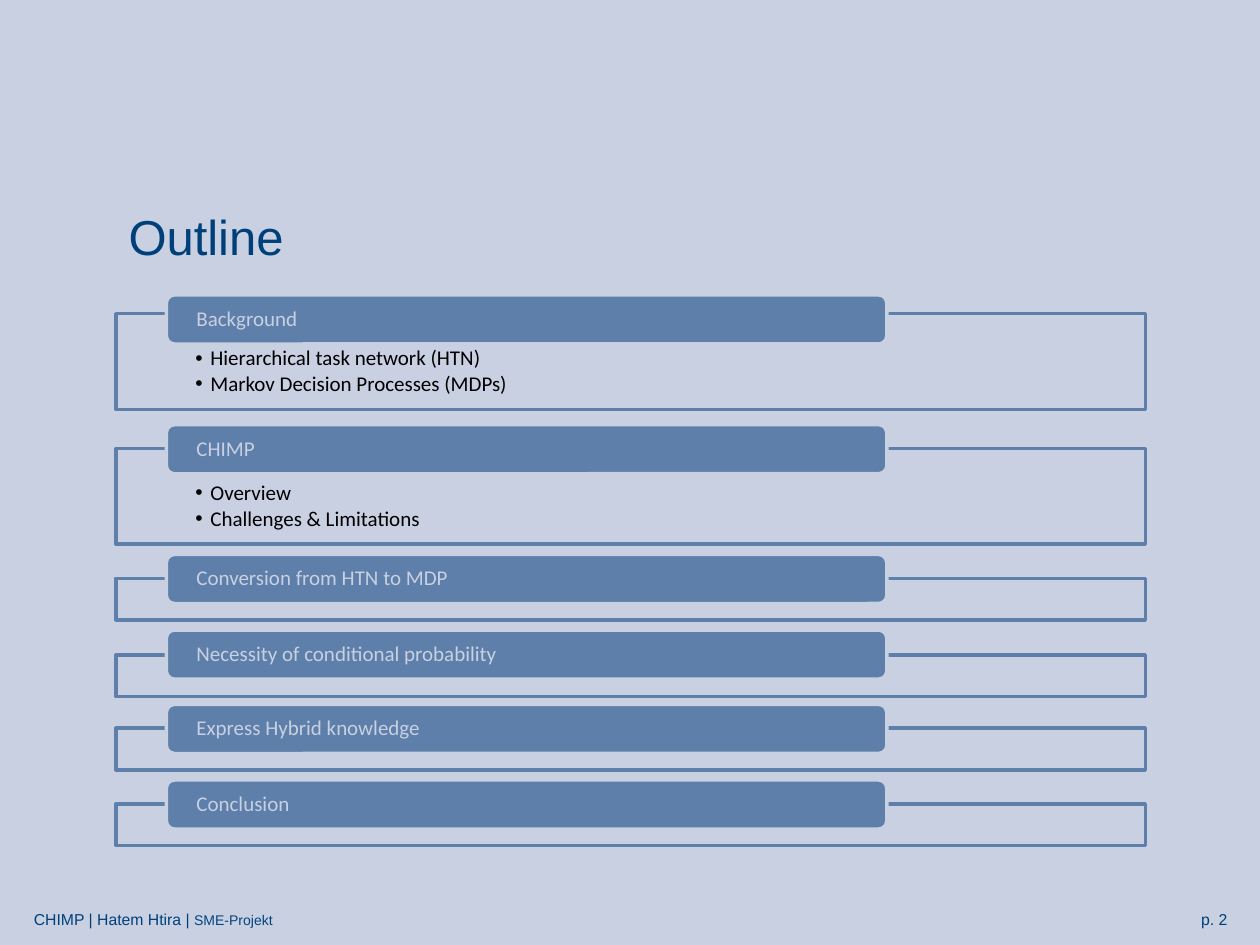
from pptx import Presentation
from pptx.dml.color import RGBColor
from pptx.enum.shapes import MSO_SHAPE as Shape
from pptx.enum.text import MSO_ANCHOR as Anchor, MSO_AUTO_SIZE as AutoSize, PP_ALIGN as Align
from pptx.oxml.ns import qn
from pptx.util import Inches, Pt
from lxml import etree

BACKGROUND = "C8D0E2"
ACCENT = "5D7FAA"
NAVY = "00407A"
FOOTER_BLUE = "00457D"
BLACK = "000000"

SECTIONS = [
    ("Background", 2.34, 2.49,
     ["Hierarchical task network (HTN)", "Markov Decision Processes (MDPs)"]),
    ("CHIMP", 3.37, 3.56, ["Overview", "Challenges & Limitations"]),
    ("Conversion from HTN to MDP", 4.4, 4.59, []),
    ("Necessity of conditional probability", 5, 5.2, []),
    ("Express Hybrid knowledge", 5.59, 5.78, []),
    ("Conclusion", 6.19, 6.38, []),
]


def color(value):
    return RGBColor.from_string(value)


def add_bullet(paragraph):
    properties = paragraph._p.get_or_add_pPr()
    properties.set("marL", str(Inches(0.12)))
    properties.set("indent", str(-Inches(0.12)))
    etree.SubElement(properties, qn("a:buFont"), typeface="Arial")
    etree.SubElement(properties, qn("a:buChar"), char="•")


def write_text(shape, paragraphs, size=12, font="Calibri", text_color=BLACK,
               align=Align.LEFT, anchor=Anchor.MIDDLE, insets=(0.1, 0.05, 0.1, 0.05),
               line_spacing=None, space_after=0, bullets=False):
    frame = shape.text_frame
    frame.word_wrap = True
    frame.auto_size = AutoSize.NONE
    frame.vertical_anchor = anchor
    frame.margin_left, frame.margin_top, frame.margin_right, frame.margin_bottom = map(Inches, insets)
    for index, runs in enumerate(paragraphs):
        paragraph = frame.add_paragraph() if index else frame.paragraphs[0]
        paragraph.alignment = align
        paragraph.space_after = Pt(space_after)
        if line_spacing:
            paragraph.line_spacing = line_spacing
        if bullets:
            add_bullet(paragraph)
        for text, run_size, run_color in [(runs, size, text_color)] if isinstance(runs, str) else runs:
            run = paragraph.add_run()
            run.text = text
            run.font.name = font
            run.font.size = Pt(run_size)
            run.font.color.rgb = color(run_color)


def add_box(slide, kind, box, fill, line):
    shape = slide.shapes.add_shape(kind, *map(Inches, box))
    shape.shadow.inherit = False
    shape.fill.solid()
    shape.fill.fore_color.rgb = color(fill)
    shape.line.color.rgb = color(line)
    shape.line.width = Pt(2)
    return shape


def set_opacity(shape, percent):
    fill_color = shape._element.spPr.find(qn("a:solidFill"))[0]
    etree.SubElement(fill_color, qn("a:alpha"), val=str(percent * 1000))


def add_title(slide, box):
    title = slide.shapes.title
    title.left, title.top, title.width, title.height = map(Inches, box)
    write_text(title, ["Outline"], size=28, font="Arial", text_color=NAVY)


def add_section(slide, box, heading, heading_top, items):
    left, top, width, height = box
    frame = add_box(slide, Shape.RECTANGLE, box, BACKGROUND, ACCENT)
    set_opacity(frame, 90)
    if items:
        write_text(frame, items, anchor=Anchor.TOP, insets=(0.63, 0.27, 0.63, 0.09),
                   line_spacing=0.9, space_after=1.8, bullets=True)
    tab_box = (left + 0.4, heading_top, width * 0.7, 0.39)
    tab = add_box(slide, Shape.ROUNDED_RECTANGLE, tab_box, ACCENT, BACKGROUND)
    write_text(tab, [heading], text_color=BACKGROUND, insets=(0.22, 0, 0.22, 0),
               line_spacing=0.9)


def add_outline(slide, left, width):
    for heading, heading_top, frame_top, items in SECTIONS:
        height = 0.76 if items else 0.33
        add_section(slide, (left, frame_top, width, height), heading, heading_top, items)


def add_footer(slide, box):
    left, top, width, height = box
    number_width = 1.17
    credit = slide.shapes.add_textbox(*map(Inches, (left, top, 8.25, height)))
    write_text(credit, [[("CHIMP | Hatem Htira | ", 9, NAVY), ("SME-Projekt", 8, FOOTER_BLUE)]],
               font="Arial")
    number = slide.shapes.add_textbox(
        *map(Inches, (left + width - number_width, top, number_width, height)))
    write_text(number, ["p. 2"], size=9, font="Arial", text_color=NAVY, align=Align.RIGHT)


def main():
    presentation = Presentation()
    presentation.slide_width = Inches(10)
    presentation.slide_height = Inches(7.5)
    slide = presentation.slides.add_slide(presentation.slide_layouts[5])
    slide.background.fill.solid()
    slide.background.fill.fore_color.rgb = color(BACKGROUND)
    add_title(slide, (0.92, 1.25, 8.17, 1.25))
    add_outline(slide, 0.92, 8.17)
    add_footer(slide, (0.17, 7.17, 9.67, 0.25))
    presentation.save("out.pptx")


if __name__ == "__main__":
    main()
